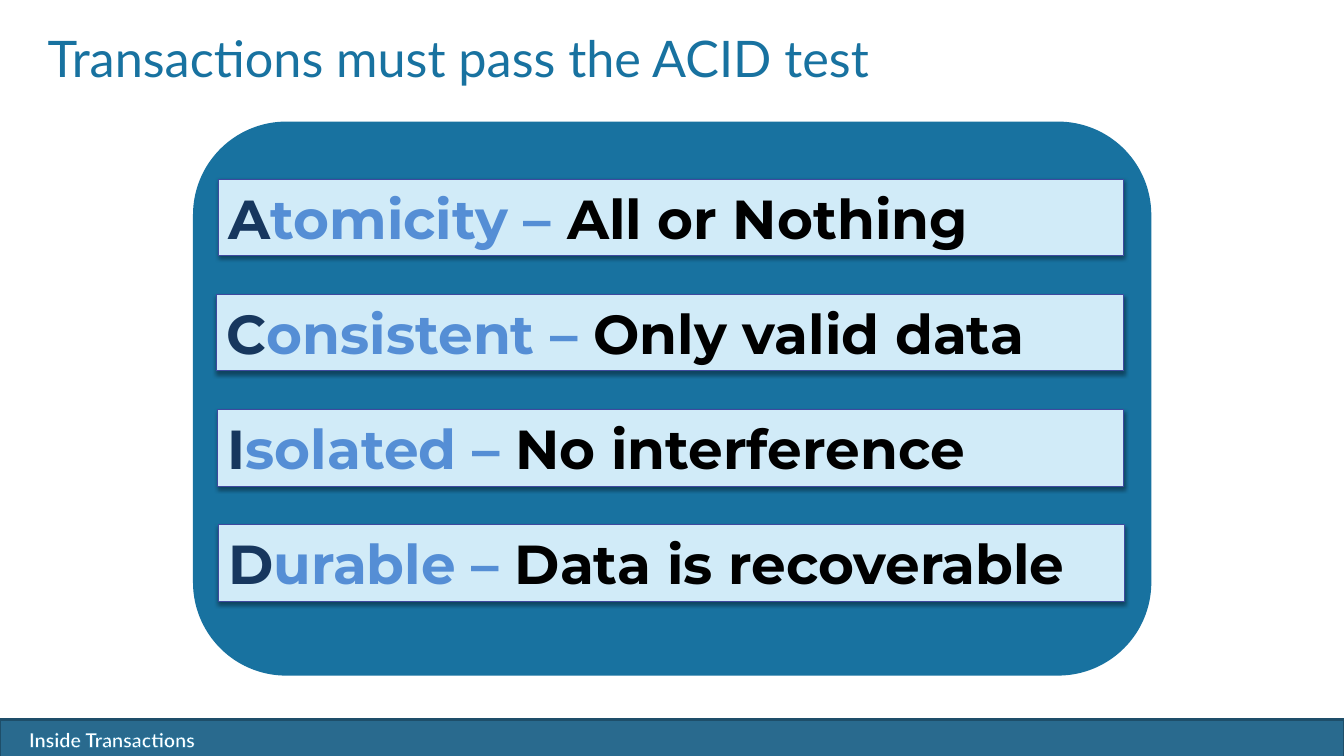
"""Build the slide on the four ACID properties of transactions."""
from dataclasses import dataclass

from lxml.etree import _Element
from pptx import Presentation
from pptx.dml.color import RGBColor
from pptx.enum.shapes import MSO_SHAPE
from pptx.enum.text import MSO_ANCHOR, MSO_AUTO_SIZE, PP_ALIGN
from pptx.oxml import parse_xml
from pptx.oxml.ns import nsdecls
from pptx.shapes.autoshape import Shape
from pptx.slide import Slide
from pptx.text.text import TextFrame, _Paragraph, _Run
from pptx.util import Cm, Pt

BLUE = "1872A0"
FIRST_TOP, ROW_PITCH, ROW_HEIGHT = 4.52, 2.9, 1.93


@dataclass(frozen=True)
class Area:
    """A rectangle on the page in centimetres."""
    left: float
    top: float
    width: float
    height: float

    def lengths(self) -> tuple[Cm, Cm, Cm, Cm]:
        """Return the four measures as lengths."""
        return Cm(self.left), Cm(self.top), Cm(self.width), Cm(self.height)


@dataclass(frozen=True)
class Look:
    """Typeface, size, colour and weight of a span."""
    name: str
    size: float
    color: str
    bold: bool = False


@dataclass(frozen=True)
class Principle:
    """One ACID row: its word, its meaning and its horizontal place."""
    word: str
    meaning: str
    left: float
    width: float


PRINCIPLES = [
    Principle("Atomicity", "All or Nothing", 5.51, 22.81),
    Principle("Consistent", "Only valid data", 5.46, 22.86),
    Principle("Isolated", "No interference", 5.49, 22.83),
    Principle("Durable", "Data is recoverable", 5.51, 22.84),
]


def rgb(value: str) -> RGBColor:
    """Turn a hex string into a colour."""
    return RGBColor.from_string(value)


def add_span(para: _Paragraph, text: str, look: Look) -> _Run:
    """Append a formatted span to a paragraph."""
    span = para.add_run()
    span.text = text
    formats = {"name": look.name, "size": Pt(look.size), "bold": look.bold}
    for key, value in formats.items():
        setattr(span.font, key, value)
    span.font.color.rgb = rgb(look.color)
    return span


def prepare_frame(frame: TextFrame, side: float, edge: float) -> _Paragraph:
    """Set wrapping, insets and alignment, and return the first paragraph."""
    formats = {
        "word_wrap": True,
        "auto_size": MSO_AUTO_SIZE.NONE,
        "vertical_anchor": MSO_ANCHOR.TOP,
        "margin_left": Cm(side),
        "margin_right": Cm(side),
        "margin_top": Cm(edge),
        "margin_bottom": Cm(edge),
    }
    for key, value in formats.items():
        setattr(frame, key, value)
    para = frame.paragraphs[0]
    para.alignment = PP_ALIGN.LEFT
    return para


def add_panel(page: Slide, kind: MSO_SHAPE, area: Area, fill: str,
              line: str, weight: float) -> Shape:
    """Draw a filled and outlined shape without a shadow."""
    panel = page.shapes.add_shape(kind, *area.lengths())
    panel.shadow.inherit = False
    panel.fill.solid()
    panel.fill.fore_color.rgb = rgb(fill)
    panel.line.color.rgb = rgb(line)
    panel.line.width = Pt(weight)
    return panel


def drop_shadow() -> _Element:
    """Return a soft black shadow that falls straight down."""
    return parse_xml(
        f'<a:outerShdw {nsdecls("a")} blurRad="{Pt(3.1)}" dist="{Pt(1.6)}" '
        'dir="5400000" rotWithShape="0"><a:srgbClr val="000000">'
        '<a:alpha val="38000"/></a:srgbClr></a:outerShdw>')


def text_outline(color: str, weight: float) -> _Element:
    """Return a solid outline for letters."""
    return parse_xml(
        f'<a:ln {nsdecls("a")} w="{Pt(weight)}"><a:solidFill>'
        f'<a:srgbClr val="{color}"/></a:solidFill></a:ln>')


def add_title(page: Slide) -> None:
    """Place and fill the title placeholder."""
    title = page.shapes.title
    title.left, title.top, title.width, title.height = Area(
        0.79, 0.61, 32.39, 2.49).lengths()
    para = prepare_frame(title.text_frame, 0.41, 0.25)
    para.line_spacing = 0.9
    add_span(para, "Transactions must pass the ACID test", Look("Lato", 36, BLUE))


def add_footer(page: Slide) -> None:
    """Draw the footer band and its label."""
    add_panel(page, MSO_SHAPE.RECTANGLE, Area(0, 18.14, 33.87, 1.02),
              "296A8E", "1E4E69", 2)
    box = page.shapes.add_textbox(*Area(0.48, 18.21, 15.39, 0.86).lengths())
    para = prepare_frame(box.text_frame, 0.25, 0.13)
    span = add_span(para, "Inside Transactions", Look("Lato", 14, "FFFFFF", True))
    span.font._element.insert(0, text_outline(BLUE, 0.8))


def add_principle(page: Slide, index: int, principle: Principle) -> None:
    """Draw one row with its initial, the rest of its word and its meaning."""
    area = Area(principle.left, FIRST_TOP + index * ROW_PITCH,
                principle.width, ROW_HEIGHT)
    box = add_panel(page, MSO_SHAPE.RECTANGLE, area, "D1EBF8", "3E499F", 0.75)
    box._element.spPr.find("{*}effectLst").append(drop_shadow())
    para = prepare_frame(box.text_frame, 0.25, 0.13)
    spans = {
        "17375E": principle.word[0],
        "558ED5": f"{principle.word[1:]} – ",
        "000000": principle.meaning,
    }
    for color, text in spans.items():
        add_span(para, text, Look("Montserrat", 39.2, color, True))


def main() -> None:
    """Build and save the deck."""
    deck = Presentation()
    deck.slide_width, deck.slide_height = Cm(33.87), Cm(19.05)
    page = deck.slides.add_slide(deck.slide_layouts.get_by_name("Title Only"))
    add_footer(page)
    add_title(page)
    add_panel(page, MSO_SHAPE.ROUNDED_RECTANGLE, Area(4.9, 3.1, 24.08, 13.89),
              BLUE, BLUE, 2)
    for index, principle in enumerate(PRINCIPLES):
        add_principle(page, index, principle)
    deck.save("out.pptx")


if __name__ == "__main__":
    main()
